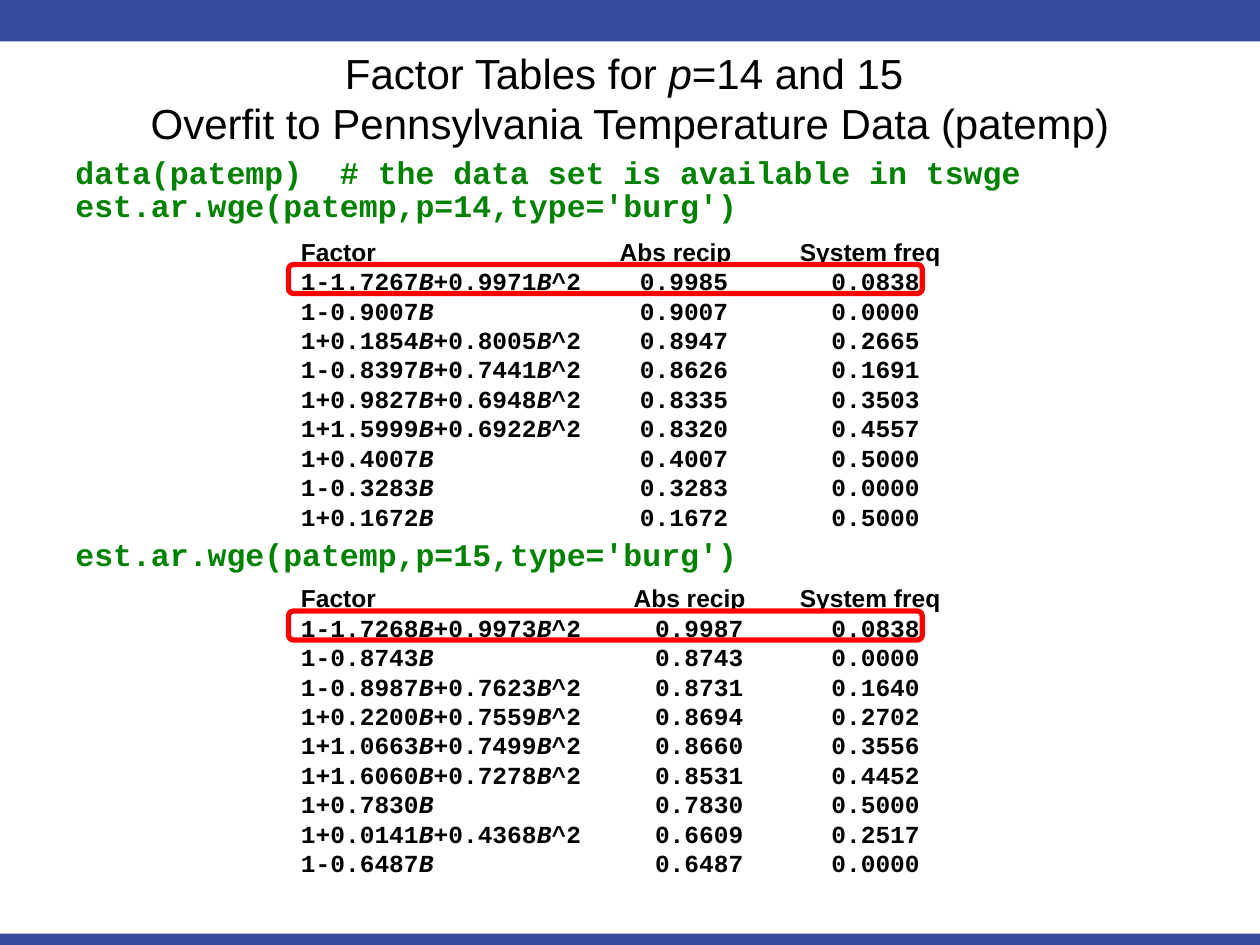
from lxml import etree
from pptx import Presentation
from pptx import util as u
from pptx.dml.color import RGBColor
from pptx.enum import shapes, text
from pptx.oxml.ns import qn

HUES = {"bar": "354CA1", "code": "008200", "ink": "000000", "mark": "FF0000"}
HEAD = ("Factor", "Abs recip", "System freq")
P14 = [
    ("1-1.7267B+0.9971B^2", "0.9985", "0.0838"),
    ("1-0.9007B", "0.9007", "0.0000"),
    ("1+0.1854B+0.8005B^2", "0.8947", "0.2665"),
    ("1-0.8397B+0.7441B^2", "0.8626", "0.1691"),
    ("1+0.9827B+0.6948B^2", "0.8335", "0.3503"),
    ("1+1.5999B+0.6922B^2", "0.8320", "0.4557"),
    ("1+0.4007B", "0.4007", "0.5000"),
    ("1-0.3283B", "0.3283", "0.0000"),
    ("1+0.1672B", "0.1672", "0.5000"),
]
P15 = [
    ("1-1.7268B+0.9973B^2", "0.9987", "0.0838"),
    ("1-0.8743B", "0.8743", "0.0000"),
    ("1-0.8987B+0.7623B^2", "0.8731", "0.1640"),
    ("1+0.2200B+0.7559B^2", "0.8694", "0.2702"),
    ("1+1.0663B+0.7499B^2", "0.8660", "0.3556"),
    ("1+1.6060B+0.7278B^2", "0.8531", "0.4452"),
    ("1+0.7830B", "0.7830", "0.5000"),
    ("1+0.0141B+0.4368B^2", "0.6609", "0.2517"),
    ("1-0.6487B", "0.6487", "0.0000"),
]


def hue(name):
    """Return the named colour."""
    return RGBColor.from_string(HUES[name])


class Deck:
    """Holds the text styles and the current slide."""

    title = {"name": "Arial", "size": u.Pt(24)}
    code = {"name": "Courier New", "size": u.Pt(18), "bold": True}
    head = {"name": "Arial", "size": u.Pt(14), "bold": True}
    row = {**head, "name": "Courier New"}

    def __init__(self, slide):
        """Keep the slide."""
        self.slide = slide

    def shape(self, kind, box):
        """Add a plain preset shape."""
        item = self.slide.shapes.add_shape(kind, *map(u.Inches, box))
        item.shadow.inherit = False
        return item

    def bar(self, top, tall):
        """Add a full-width band."""
        item = self.shape(shapes.MSO_SHAPE.RECTANGLE, (0, top, 10, tall))
        item.fill.solid()
        item.fill.fore_color.rgb = hue("bar")
        item.line.fill.background()

    def mark(self, top):
        """Outline the leading factor."""
        item = self.shape(shapes.MSO_SHAPE.ROUNDED_RECTANGLE, (2.29, top, 5.03, 0.23))
        item.fill.background()
        item.line.color.rgb = hue("mark")
        item.line.width = u.Pt(3)

    def frame(self, *box):
        """Add an empty wrapping text box."""
        frame = self.slide.shapes.add_textbox(*map(u.Inches, box)).text_frame
        frame.word_wrap = True
        return frame

    def para(self, frame, first, pitch):
        """Add a paragraph with a fixed line pitch."""
        para = frame.paragraphs[0] if first else frame.add_paragraph()
        para.line_spacing = u.Pt(pitch)
        return para

    def run(self, para, words, style, tone="ink", **more):
        """Add a styled run."""
        run = para.add_run()
        run.text = words
        for key, value in {**style, **more}.items():
            setattr(run.font, key, value)
        run.font.color.rgb = hue(tone)

    def mixed(self, para, words, sign, style):
        """Add runs with the given sign in italics."""
        for i, part in enumerate(words.split(sign)):
            if i:
                self.run(para, sign, style, italic=True)
            self.run(para, part, style)

    def heading(self, lines):
        """Add the centred title."""
        para = self.para(self.frame(0.5, 0.33, 9, 0.9), True, 28.6)
        para.alignment = text.PP_ALIGN.CENTER
        self.mixed(para, lines[0], "p", self.title)
        para.add_line_break()
        self.run(para, lines[1], self.title)

    def script(self, top, tall, *lines):
        """Add lines of code."""
        frame = self.frame(0.5, top, 9, tall)
        for i, line in enumerate(lines):
            self.run(self.para(frame, not i, 19), line, self.code, "code")

    def tabs(self, para, stops):
        """Set left tab stops in inches."""
        group = etree.SubElement(para._p.get_or_add_pPr(), qn("a:tabLst"))
        for stop in stops:
            etree.SubElement(group, qn("a:tab"), pos=str(u.Inches(stop)), algn="l")

    def factors(self, top, wide, rows, heads, cols):
        """Add a tabbed factor listing."""
        frame = self.frame(2.29, top, wide, 2.39)
        for i, cells in enumerate([HEAD, *rows]):
            para = self.para(frame, not i, 16.8)
            self.tabs(para, cols if i else heads)
            self.mixed(para, "\t".join(cells), "B", self.row if i else self.head)


def main():
    """Build and save the slide."""
    show = Presentation()
    show.slide_width, show.slide_height = u.Inches(10), u.Inches(7.5)
    deck = Deck(show.slides.add_slide(show.slide_layouts[6]))
    deck.bar(7.41, 0.1)
    deck.bar(0, 0.33)
    deck.script(1.2, 0.65, "data(patemp)  # the data set is available in tswge",
                "est.ar.wge(patemp,p=14,type='burg')")
    deck.factors(4.58, 5.49, P15, (2.64, 3.96), (2.81, 4.21))
    deck.factors(1.83, 5.42, P14, (2.53, 3.96), (2.69, 4.21))
    deck.mark(2.1)
    deck.script(4.23, 0.44, "est.ar.wge(patemp,p=15,type='burg')")
    deck.mark(4.85)
    deck.heading(("Factor Tables for p=14 and 15 ",
                  "Overfit to Pennsylvania Temperature Data (patemp)"))
    show.save("out.pptx")


if __name__ == "__main__":
    main()
